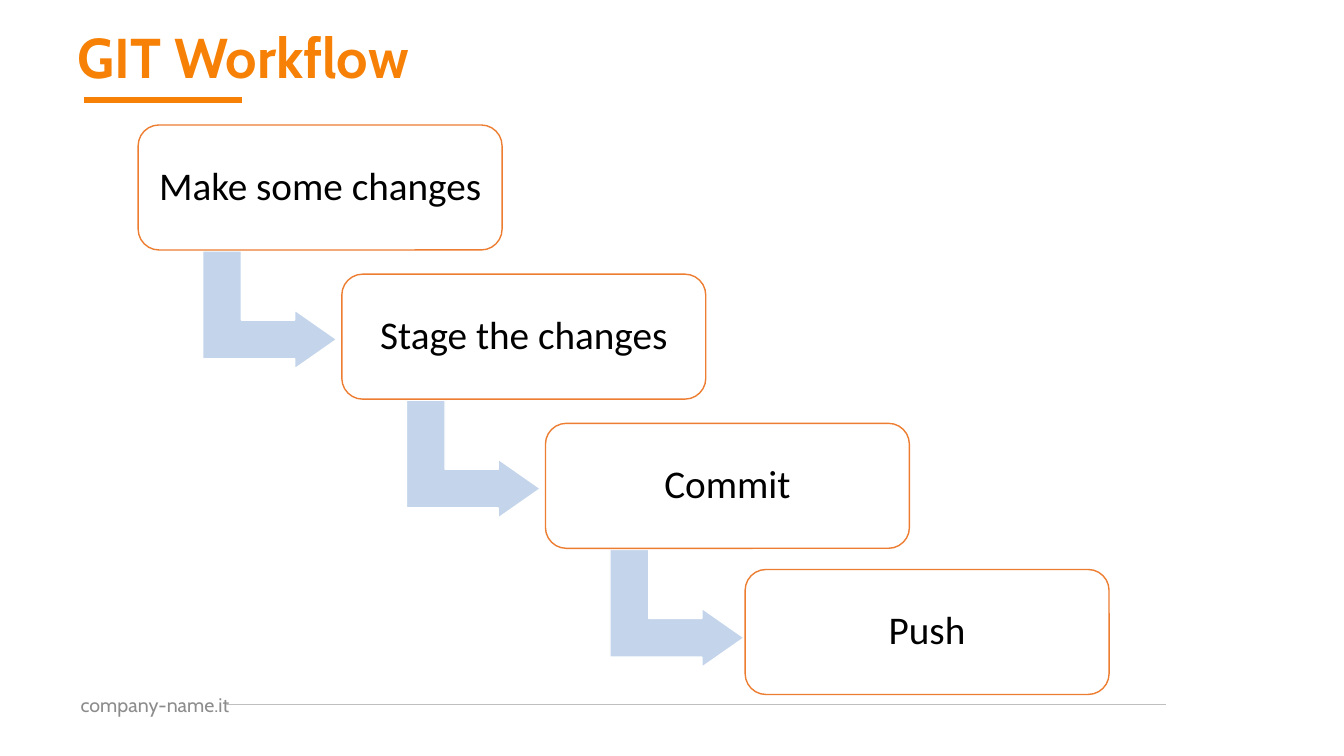
from lxml import etree
from pptx import Presentation
from pptx.dml.color import RGBColor
from pptx.enum import shapes, text
from pptx.oxml import ns
from pptx.util import Inches, Pt

TITLE = "GIT Workflow"
FOOTER = "company-name.it"
STEPS = [
    ("Make some changes", (0, 0)),
    ("Stage the changes", (0, 0)),
    ("Commit", (0, 0)),
    ("Push", (-0.04, -0.03)),
]
COLORS = {
    "orange": "F68106", "box_line": "ED7D31", "arrow": "C4D5EB",
    "white": "FFFFFF", "black": "000000", "footer": "8C8C8C", "rule": "BFBFBF",
}
FIRST_LEFT, FIRST_TOP = 1.37, 1.24
STEP_X, STEP_Y = 2.02, 1.48
BOX_W, BOX_H = 3.61, 1.24
ARROW_DX, ARROW_DY = 0.72, 1.17
ARROW_W, ARROW_H = 1.17, 1.33


def color(name):
    return RGBColor.from_string(COLORS[name])


def write(shape, words, font, size, tint, align, insets, bold=False, spacing=1.0):
    frame = shape.text_frame
    frame.word_wrap = True
    frame.auto_size = text.MSO_AUTO_SIZE.NONE
    frame.vertical_anchor = text.MSO_ANCHOR.MIDDLE
    frame.margin_left = frame.margin_right = Inches(insets[0])
    frame.margin_top = frame.margin_bottom = Inches(insets[1])
    para = frame.paragraphs[0]
    para.alignment = align
    para.line_spacing = spacing
    span = para.add_run()
    span.text = words
    span.font.name = font
    span.font.size = Pt(size)
    span.font.bold = bold
    span.font.color.rgb = color(tint)


def add_block(page, kind, left, top, width, height, fill, line):
    block = page.shapes.add_shape(
        kind, Inches(left), Inches(top), Inches(width), Inches(height))
    block.shadow.inherit = False
    block.fill.solid()
    block.fill.fore_color.rgb = color(fill)
    block.line.color.rgb = color(line)
    block.line.width = Pt(1)
    return block


def add_rule(page, start, end, y, tint, width):
    rule = page.shapes.add_connector(
        shapes.MSO_CONNECTOR.STRAIGHT, Inches(start), Inches(y), Inches(end), Inches(y))
    rule.line.color.rgb = color(tint)
    rule.line.width = Pt(width)
    etree.SubElement(rule._element.spPr, ns.qn("a:effectLst"))


def add_step(page, index, words, nudge):
    left = FIRST_LEFT + index * STEP_X
    top = FIRST_TOP + index * STEP_Y
    if index < len(STEPS) - 1:
        arrow = add_block(page, shapes.MSO_SHAPE.BENT_UP_ARROW, left + ARROW_DX,
                          top + ARROW_DY, ARROW_W, ARROW_H, "arrow", "white")
        arrow.rotation = 90
        for place, value in enumerate((0.328, 0.25, 0.358)):
            arrow.adjustments[place] = value
    box = add_block(page, shapes.MSO_SHAPE.ROUNDED_RECTANGLE, left + nudge[0],
                    top + nudge[1], BOX_W, BOX_H, "white", "box_line")
    box.adjustments[0] = 0.167
    write(box, words, "Calibri", 28, "black", text.PP_ALIGN.CENTER, (0.12, 0.12), spacing=0.9)


def main():
    deck = Presentation()
    deck.slide_width, deck.slide_height = Inches(13.33), Inches(7.5)
    page = deck.slides.add_slide(deck.slide_layouts[5])

    footer = page.shapes.add_textbox(Inches(0.67), Inches(6.79), Inches(3.32), Inches(0.4))
    write(footer, FOOTER, "Cabin", 14, "footer", text.PP_ALIGN.LEFT, (0.13, 0.07))
    add_rule(page, 11.56, 2.24, 6.99, "rule", 0.25)
    add_rule(page, 0.83, 2.4, 0.99, "orange", 4.5)

    title = page.shapes.title
    title.left, title.top = Inches(0.67), Inches(0.21)
    title.width, title.height = Inches(11.63), Inches(0.78)
    write(title, TITLE, "Cabin", 40, "orange", text.PP_ALIGN.LEFT, (0.1, 0.05), True, 0.9)

    for index, (words, nudge) in enumerate(STEPS):
        add_step(page, index, words, nudge)
    deck.save("out.pptx")


if __name__ == "__main__":
    main()
